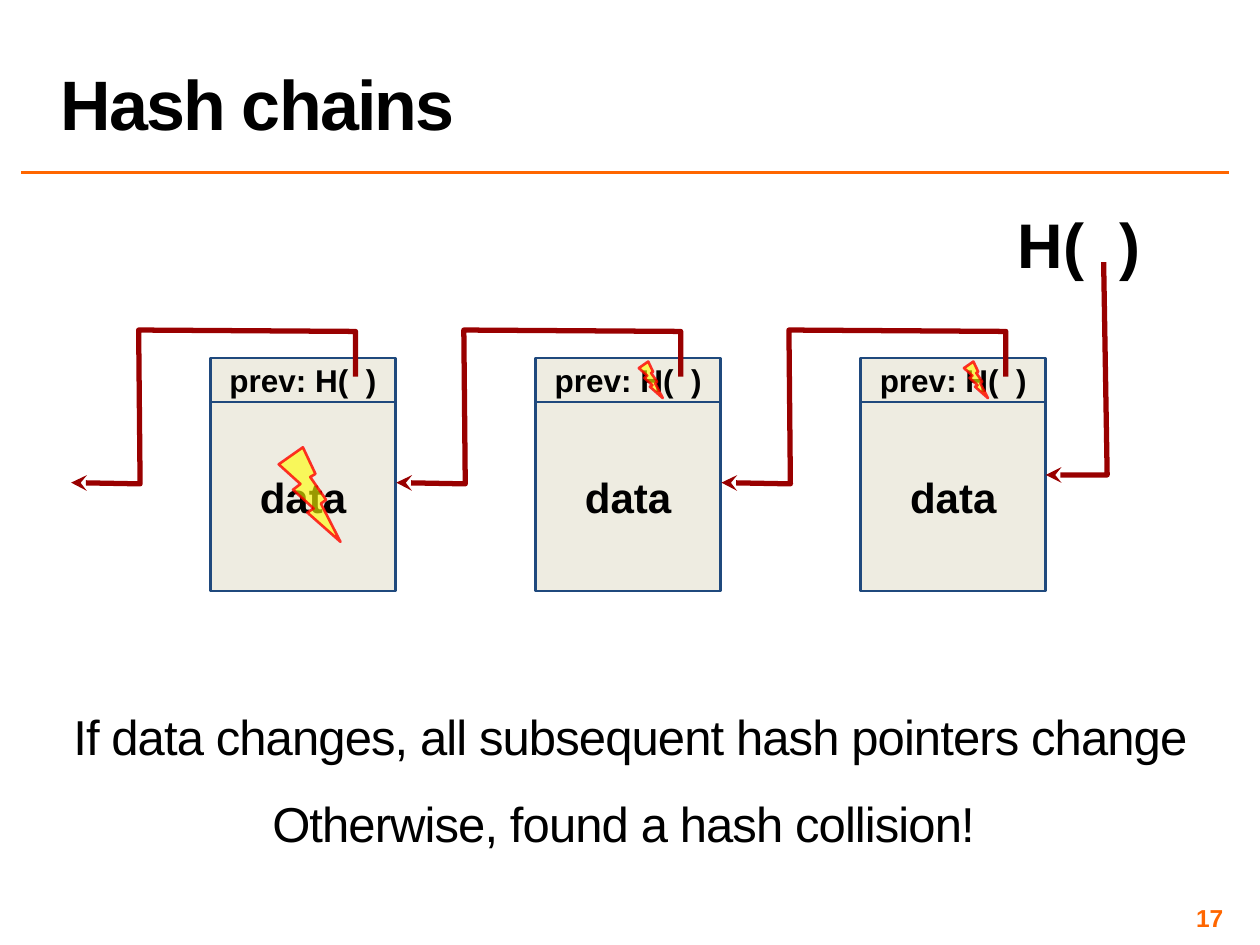
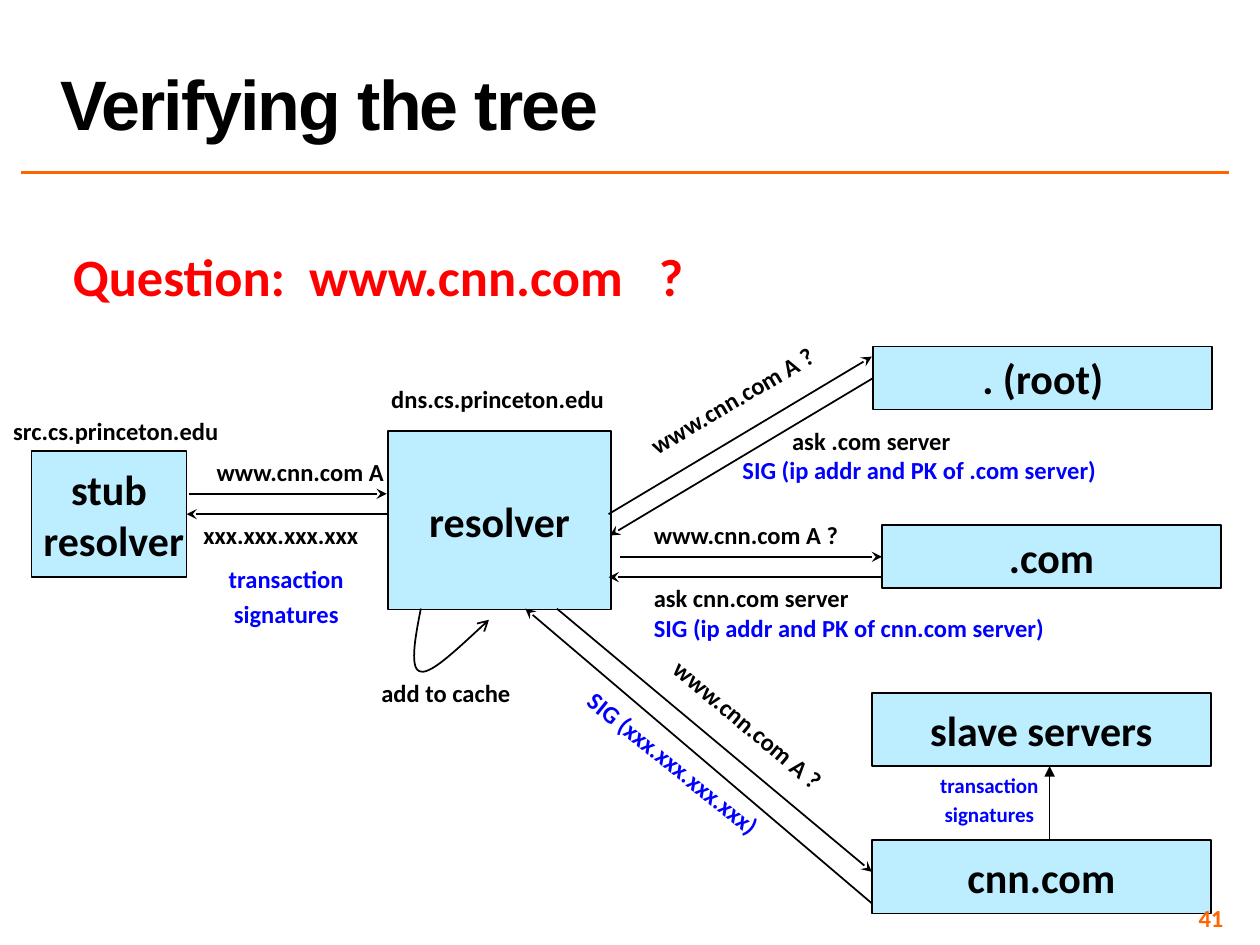
from dataclasses import dataclass
from typing import Any, NamedTuple, Optional

from lxml.etree import SubElement
from pptx import Presentation
from pptx.dml.color import RGBColor
from pptx.enum.shapes import MSO_CONNECTOR, MSO_SHAPE
from pptx.enum.text import MSO_ANCHOR, PP_ALIGN
from pptx.oxml.ns import qn
from pptx.util import Pt

Point = tuple[float, float]


@dataclass(frozen=True)
class Theme:
    accent: str = "FF6600"
    ink: str = "000000"
    question: str = "FF0000"
    signature: str = "0000FF"
    block_fill: str = "EEECE1"
    block_line: str = "1F497D"
    pointer: str = "990000"
    bolt_fill: str = "FFFF00"
    bolt_line: str = "FF0000"
    server_fill: str = "BCEEFF"
    sans: str = "Arial"
    diagram: str = "Calibri"
    title_size: float = 40
    hash_size: float = 36
    question_size: float = 30
    body_size: float = 28
    box_size: float = 24
    header_size: float = 18
    label_size: float = 14
    small_size: float = 12


THEME = Theme()


class Style(NamedTuple):
    size: float
    font: str = THEME.diagram
    color: str = THEME.ink
    bold: bool = True
    tracking: float = 0


class Para(NamedTuple):
    """One paragraph; gaps widen its successive spaces."""
    text: str
    color: Optional[str] = None
    left: float = 0
    right: float = 0
    before: float = 0
    after: float = 0
    gaps: tuple[float, ...] = ()


class Frame(NamedTuple):
    left: float
    top: float
    width: float
    height: float


class Label(NamedTuple):
    frame: Frame
    paras: tuple[Para, ...]
    style: Style = Style(THEME.label_size)
    rotation: float = 0
    align: Any = PP_ALIGN.CENTER
    wrap: bool = False


class Arrow(NamedTuple):
    begin: Point
    end: Point
    begin_site: Optional[tuple[str, int]] = None
    end_site: Optional[tuple[str, int]] = None
    head: str = "stealth"
    weight: float = 1


def assign(target: Any, values: dict[str, Any]) -> None:
    for name, value in values.items():
        setattr(target, name, value)


def pieces(para: Para) -> list[tuple[str, float]]:
    """Split a paragraph into run texts and the extra width each carries."""
    if not para.gaps:
        return [(para.text, 0)]
    words = para.text.split(" ")
    result = [(words[0], 0.0)]
    for word, gap in zip(words[1:], para.gaps):
        result += [(" ", gap), (word, 0.0)]
    return result


def write(shape: Any, paras: tuple[Para, ...], style: Style, align: Any = PP_ALIGN.CENTER,
          anchor: Any = MSO_ANCHOR.TOP, inset: Point = (7.2, 3.6), wrap: bool = True,
          line_spacing: Optional[float] = None) -> None:
    frame = shape.text_frame
    across, down = Pt(inset[0]), Pt(inset[1])
    assign(frame, {"word_wrap": wrap, "vertical_anchor": anchor, "margin_left": across,
                   "margin_right": across, "margin_top": down, "margin_bottom": down})
    for index, para in enumerate(paras):
        paragraph = frame.add_paragraph() if index else frame.paragraphs[0]
        assign(paragraph, {"alignment": align, "space_before": Pt(para.before),
                           "space_after": Pt(para.after), "line_spacing": line_spacing})
        properties = paragraph._p.get_or_add_pPr()
        for side, indent in (("marL", para.left), ("marR", para.right)):
            if indent:
                properties.set(side, str(Pt(indent)))
        for text, extra in pieces(para):
            run = paragraph.add_run()
            run.text = text
            assign(run.font, {"size": Pt(style.size), "name": style.font, "bold": style.bold})
            run.font.color.rgb = RGBColor.from_string(para.color or style.color)
            if style.tracking + extra:
                run._r.get_or_add_rPr().set("spc", str(round(100 * (style.tracking + extra))))


def add_text(slide: Any, frame: Frame, paras: tuple[Para, ...], style: Style, **layout: Any) -> Any:
    box = slide.shapes.add_textbox(*map(Pt, frame))
    write(box, paras, style, **layout)
    return box


def stroke(item: Any, color: str, weight: float, head: Optional[str] = None) -> None:
    item.line.color.rgb = RGBColor.from_string(color)
    item.line.width = Pt(weight)
    if head:
        SubElement(item.element.spPr.find(qn("a:ln")), qn("a:tailEnd"), type=head)


def add_solid(slide: Any, kind: Any, frame: Frame, fill: str, line: str, weight: float) -> Any:
    shape = slide.shapes.add_shape(kind, *map(Pt, frame))
    shape.shadow.inherit = False
    shape.fill.solid()
    shape.fill.fore_color.rgb = RGBColor.from_string(fill)
    stroke(shape, line, weight)
    return shape


def add_straight(slide: Any, begin: Point, end: Point, color: str, weight: float,
                 head: Optional[str] = None) -> Any:
    line = slide.shapes.add_connector(MSO_CONNECTOR.STRAIGHT, *map(Pt, (*begin, *end)))
    stroke(line, color, weight, head)
    SubElement(line.element.spPr, qn("a:effectLst"))
    return line


def add_path(slide: Any, points: list[Point], color: str, weight: float, head: str) -> None:
    """Draw an open outline that ends in an arrowhead."""
    start, *rest = [(Pt(x), Pt(y)) for x, y in points]
    builder = slide.shapes.build_freeform(*start)
    builder.add_line_segments(rest, close=False)
    outline = builder.convert_to_shape()
    outline.shadow.inherit = False
    outline.fill.background()
    stroke(outline, color, weight, head)


def bezier(a: Point, b: Point, c: Point, d: Point, steps: int = 16) -> list[Point]:
    def blend(t: float, axis: int) -> float:
        u = 1 - t
        return (u**3 * a[axis] + 3 * u * u * t * b[axis]
                + 3 * u * t * t * c[axis] + t**3 * d[axis])
    return [(blend(i / steps, 0), blend(i / steps, 1)) for i in range(steps + 1)]


def add_bolt(slide: Any, frame: Frame) -> None:
    bolt = add_solid(slide, MSO_SHAPE.LIGHTNING_BOLT, frame, THEME.bolt_fill, THEME.bolt_line, 1.5)
    properties = bolt.element.spPr
    for fill, percent in ((properties.find(qn("a:solidFill")), 60),
                          (properties.find(qn("a:ln")).find(qn("a:solidFill")), 80)):
        SubElement(fill[0], qn("a:alpha"), val=str(percent * 1000))


def start_slide(deck: Any, title: str) -> Any:
    slide = deck.slides.add_slide(deck.slide_layouts[6])
    add_straight(slide, (12.25, 98.65), (702, 98.65), THEME.accent, 2)
    add_text(slide, Frame(27.35, 1.45, 674.65, 84.25), (Para(title),),
             Style(THEME.title_size, THEME.sans, tracking=-1), align=PP_ALIGN.LEFT,
             anchor=MSO_ANCHOR.BOTTOM, line_spacing=0.8)
    return slide


def add_page_number(slide: Any, number: int, font: str) -> None:
    add_text(slide, Frame(534.25, 516.25, 167.75, 16.55), (Para(str(number)),),
             Style(THEME.label_size, font, THEME.accent), align=PP_ALIGN.RIGHT,
             anchor=MSO_ANCHOR.MIDDLE, inset=(2.9, 2.9))


def build_hash_chains(deck: Any) -> None:
    slide = start_slide(deck, "Hash chains")
    first_left, pitch, width = 120.25, 185.8, 105.8
    header_top, header_height, data_height = 204.5, 25.2, 108
    block_lefts = [first_left + pitch * i for i in range(3)]
    header = Para("prev: H( )", gaps=(0, 5))

    add_text(slide, Frame(0, 401, 720, 98.65),
             (Para("If data changes, all subsequent hash pointers change", after=8),
              Para("Otherwise, found a hash collision!", right=7.5, before=8, after=8)),
             Style(THEME.body_size, THEME.sans, bold=False, tracking=-0.5), inset=(2.9, 2.9))
    for left in block_lefts:
        for top, height, para, size in (
                (header_top + header_height, data_height, Para("data"), THEME.box_size),
                (header_top, header_height, header, THEME.header_size)):
            cell = add_solid(slide, MSO_SHAPE.RECTANGLE, Frame(left, top, width, height),
                             THEME.block_fill, THEME.block_line, 1.5)
            write(cell, (para,), Style(size, THEME.sans), anchor=MSO_ANCHOR.MIDDLE,
                  inset=(7.2, 7.2))
    add_text(slide, Frame(560.9, 110.2, 111.6, 36), (Para("H( )", gaps=(10,)),),
             Style(THEME.hash_size, THEME.sans), inset=(7.2, 7.2))

    add_bolt(slide, Frame(first_left + 39, 255.6, 35.3, 54))
    for left in block_lefts[1:]:
        add_bolt(slide, Frame(left + 59, 206.6, 13.7, 20.9))

    route = ((82.9, 215.3), (82.9, 189.4), (-41, 188.6), (-40.2, 276.5), (-79.6, 275.8))
    pointers = [[(left + x, y) for x, y in route] for left in block_lefts]
    pointers.append([(630.7, 149.8), (632.7, 271.4), (597.6, 271.4)])
    for pointer in pointers:
        add_path(slide, pointer, THEME.pointer, 3, "stealth")
    add_page_number(slide, 17, THEME.sans)


SERVERS = {
    "stub": (Frame(18, 257.8, 88.6, 72), (Para("stub"), Para("resolver", left=5.4))),
    "resolver": (Frame(221.8, 246.2, 127.4, 102.2), (Para("resolver"),)),
    "root": (Frame(499, 198, 193.7, 36), (Para(". (root)"),)),
    "com": (Frame(504, 300.2, 193.7, 36), (Para(".com"),)),
    "slave": (Frame(498.2, 396, 193.7, 41.8), (Para("slave servers"),)),
    "site": (Frame(498.2, 480.2, 193.7, 41.8), (Para("cnn.com"),)),
}

QUERY = (Para("www.cnn.com A ?"),)


def signatures(frame: Frame, size: float) -> Label:
    paras = (Para("transaction", right=size * 0.23), Para("signatures", before=size * 0.2))
    return Label(frame, paras, Style(size, color=THEME.signature), wrap=True)


LABELS = (
    Label(Frame(0, 136, 432, 43.9), (Para("Question: www.cnn.com ?", gaps=(6.8, 13.6)),),
          Style(THEME.question_size, color=THEME.question), wrap=True),
    Label(Frame(115.9, 257.8, 121, 24.5), QUERY),
    Label(Frame(357.8, 216.7, 121, 24.5), QUERY, rotation=329.5),
    Label(Frame(365.8, 293.8, 121, 24.5), QUERY),
    Label(Frame(367.2, 401.8, 120.2, 24.5), QUERY, rotation=40),
    Label(Frame(414, 239.8, 239.8, 41),
          (Para("ask .com server", left=31.6),
           Para("SIG (ip addr and PK of .com server)", THEME.signature, left=3.2)),
          align=PP_ALIGN.LEFT, wrap=True),
    Label(Frame(366.5, 329.8, 239, 41),
          (Para("ask cnn.com server"),
           Para("SIG (ip addr and PK of cnn.com server)", THEME.signature)),
          align=PP_ALIGN.LEFT),
    Label(Frame(316.8, 424.1, 135.4, 24.5), (Para("SIG (xxx.xxx.xxx.xxx)", THEME.signature),),
          rotation=38.9),
    Label(Frame(108, 293.8, 105.1, 24.5), (Para("xxx.xxx.xxx.xxx"),)),
    Label(Frame(210.2, 383.8, 89.3, 24.5), (Para("add to cache"),)),
    Label(Frame(0, 234, 132.5, 24.5), (Para("src.cs.princeton.edu"),)),
    Label(Frame(216, 216, 136.8, 24.5), (Para("dns.cs.princeton.edu"),)),
    signatures(Frame(120.2, 319, 90, 64.8), THEME.label_size),
    signatures(Frame(527.8, 437.8, 77.8, 39.6), THEME.small_size),
)

ARROWS = (
    Arrow((108, 282.2), (221, 282.2)),
    Arrow((221, 293.8), (106.6, 293.8), end_site=("stub", 3)),
    Arrow((347.8, 293.8), (498.2, 203.8)),
    Arrow((499, 216), (348.5, 306), begin_site=("root", 1)),
    Arrow((354.2, 318.2), (504, 318.2), end_site=("com", 1)),
    Arrow((504, 329.8), (347.8, 329.8)),
    Arrow((318.2, 347.8), (498.2, 498.2)),
    Arrow((498.2, 516.2), (300.2, 347.8)),
    Arrow((599.8, 480.2), (599.8, 437.8), head="triangle", weight=0.75),
)


def build_verifying_tree(deck: Any) -> None:
    slide = start_slide(deck, "Verifying the tree")
    for label in LABELS:
        box = add_text(slide, label.frame, label.paras, label.style,
                       align=label.align, wrap=label.wrap)
        box.rotation = label.rotation
    servers = {}
    for name, (frame, paras) in SERVERS.items():
        servers[name] = add_solid(slide, MSO_SHAPE.RECTANGLE, frame,
                                  THEME.server_fill, THEME.ink, 1)
        write(servers[name], paras, Style(THEME.box_size), anchor=MSO_ANCHOR.MIDDLE, wrap=False)
    for arrow in ARROWS:
        line = add_straight(slide, arrow.begin, arrow.end, THEME.ink, arrow.weight, arrow.head)
        for site, connect in ((arrow.begin_site, line.begin_connect),
                              (arrow.end_site, line.end_connect)):
            if site:
                connect(servers[site[0]], site[1])
    cache_loop = (bezier((240.5, 347.8), (236.9, 365.8), (234, 383), (240.5, 383.8))
                  + bezier((240.5, 383.8), (247, 385.2), (262.8, 369.4), (279.4, 354.2))[1:])
    add_path(slide, cache_loop, THEME.ink, 1, "arrow")
    add_page_number(slide, 41, THEME.diagram)


def main() -> None:
    deck = Presentation()
    assign(deck, {"slide_width": Pt(720), "slide_height": Pt(540)})
    build_hash_chains(deck)
    build_verifying_tree(deck)
    deck.save("out.pptx")


if __name__ == "__main__":
    main()
